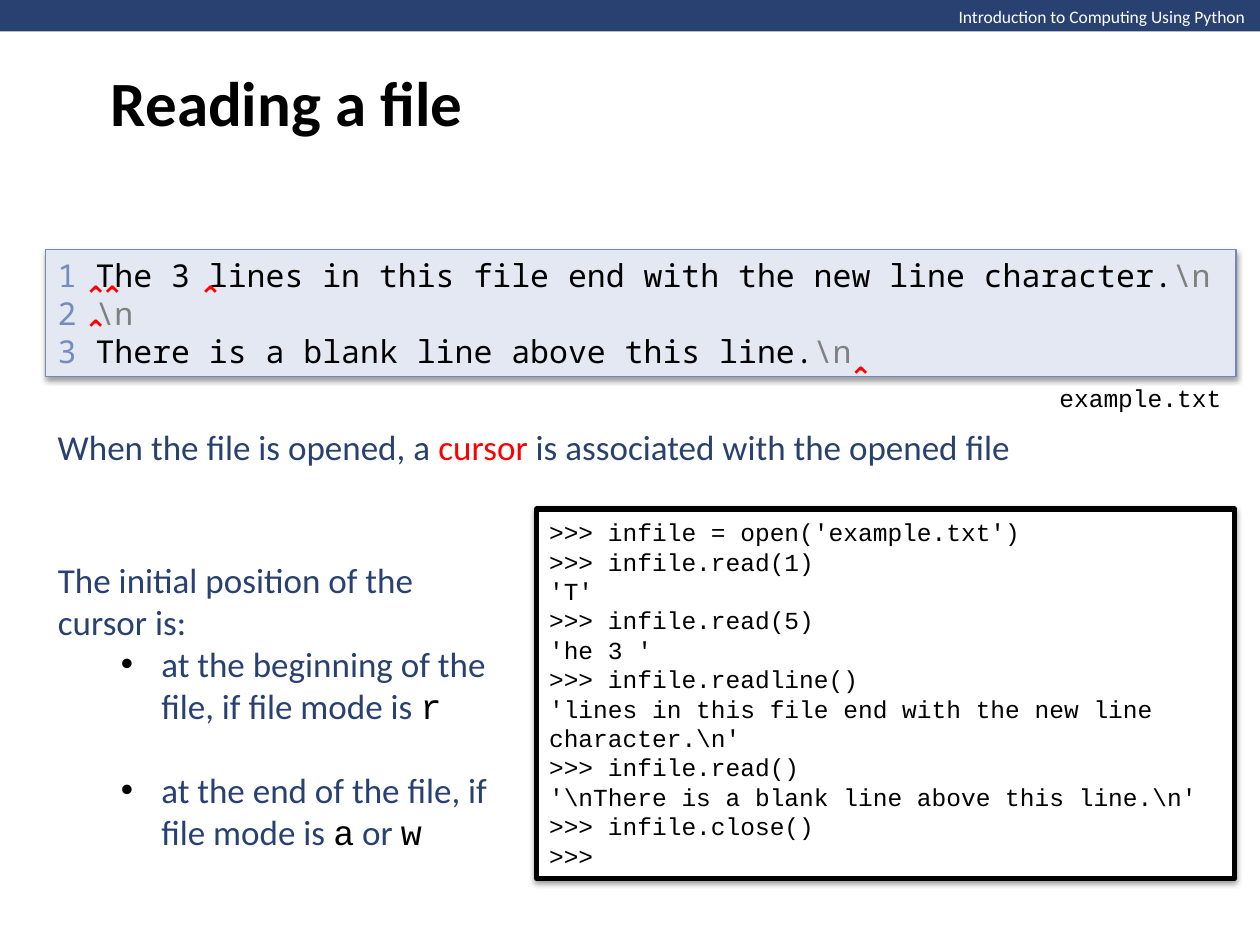
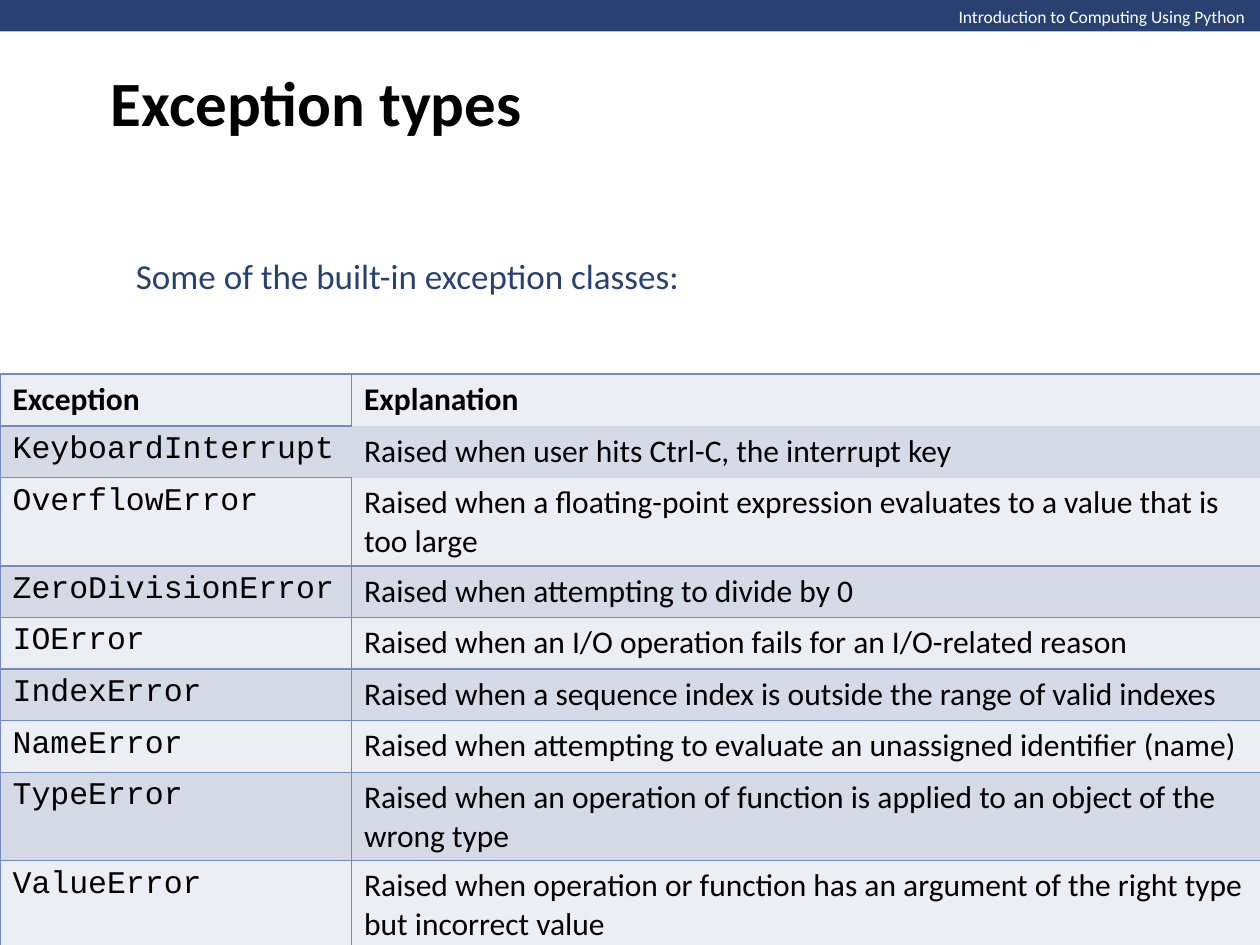
from lxml.etree import SubElement
from pptx import Presentation
from pptx.dml.color import RGBColor
from pptx.enum.shapes import MSO_SHAPE
from pptx.enum.text import MSO_ANCHOR, MSO_AUTO_SIZE, PP_ALIGN
from pptx.oxml.ns import qn
from pptx.util import Inches, Pt

NAVY, STEEL, BLACK, WHITE = "294171", "748CBC", "000000", "FFFFFF"
RED, GREY = "FF0000", "808080"
SANS, CODE, MONO = "Calibri", "Courier New", "Noto Sans Mono"

TITLE = {"name": SANS, "size": Pt(36), "bold": True, "color": BLACK}
HEADER = {"name": SANS, "size": Pt(10), "color": WHITE}
BODY = {"name": SANS, "size": Pt(20), "color": NAVY}
KEYWORD = {**BODY, "name": CODE, "color": BLACK}
SHELL = {"name": CODE, "size": Pt(14), "color": BLACK}
FILE_TEXT = {"name": MONO, "size": Pt(18), "color": BLACK}
LINE_NUMBER = {**FILE_TEXT, "color": STEEL}
NEWLINE = {**FILE_TEXT, "color": GREY}
CURSOR = {"name": "Open Sans", "size": Pt(16), "bold": True, "color": RED}
CELL = {"name": SANS, "size": Pt(18), "bold": False, "color": BLACK}
CELL_HEAD = {**CELL, "bold": True}
CELL_CODE = {**CELL, "name": CODE}

ROW_FILLS = ("EBEEF3", "D6DAE7")
# Cells that lack some of the borders: (row, column) -> sides drawn
PARTIAL_BORDERS = {(0, 1): "LTR", (1, 0): "LTB", (1, 1): "", (2, 1): "LRB"}

SESSION = r"""
>>> infile = open('example.txt')
>>> infile.read(1)
'T'
>>> infile.read(5)
'he 3 '
>>> infile.readline()
'lines in this file end with the new line character.\n'
>>> infile.read()
'\nThere is a blank line above this line.\n'
>>> infile.close()
>>>
""".strip().splitlines()

FILE_LINES = [" The 3 lines in this file end with the new line character.", " ",
              " There is a blank line above this line."]

CURSOR_PLACES = [(0.57, 2.16), (0.7, 2.16), (1.48, 2.16), (0.57, 2.43), (6.64, 2.8)]

EXCEPTIONS = [
    ("Exception", "Explanation"),
    ("KeyboardInterrupt", "Raised when user hits Ctrl-C, the interrupt key"),
    ("OverflowError", "Raised when a floating-point expression evaluates to a value that is too large"),
    ("ZeroDivisionError", "Raised when attempting to divide by 0"),
    ("IOError", "Raised when an I/O operation fails for an I/O-related reason"),
    ("IndexError", "Raised when a sequence index is outside the range of valid indexes"),
    ("NameError", "Raised when attempting to evaluate an unassigned identifier (name)"),
    ("TypeError", "Raised when an operation of function is applied to an object of the wrong type"),
    ("ValueError", "Raised when operation or function has an argument of the right type but incorrect value"),
]


def rgb(color):
    return RGBColor.from_string(color)


def solid(target, color):
    target.fill.solid()
    target.fill.fore_color.rgb = rgb(color)


def write(frame, paragraphs):
    """Fill a text frame; each paragraph is a list of (text, format) runs."""
    for index, runs in enumerate(paragraphs):
        paragraph = frame.paragraphs[0] if index == 0 else frame.add_paragraph()
        paragraph.alignment = PP_ALIGN.LEFT
        for text, values in runs:
            run = paragraph.add_run()
            run.text = text
            for name, value in values.items():
                if name == "color":
                    run.font.color.rgb = rgb(value)
                else:
                    setattr(run.font, name, value)


def add_shadow(shape):
    effects = shape._element.spPr.find(qn("a:effectLst"))
    shadow = SubElement(effects, qn("a:outerShdw"), blurRad=str(Pt(3.1)), dist=str(Pt(1.6)),
                        dir="5400000", rotWithShape="0")
    color = SubElement(shadow, qn("a:srgbClr"), val=BLACK)
    SubElement(color, qn("a:alpha"), val="38000")


def set_bullet(paragraph, left=0, hanging=0, character=None):
    properties = paragraph._p.get_or_add_pPr()
    properties.set("marL", str(Inches(left)))
    properties.set("indent", str(Inches(-hanging)))
    if character:
        color = SubElement(properties, qn("a:buClr"))
        SubElement(color, qn("a:srgbClr"), val=BLACK)
        SubElement(properties, qn("a:buFont"), typeface="Arial")
        SubElement(properties, qn("a:buChar"), char=character)
    else:
        SubElement(properties, qn("a:buNone"))


def set_borders(cell, sides):
    properties = cell._tc.get_or_add_tcPr()
    for position, side in enumerate("LRTB"):
        line = properties.makeelement(qn(f"a:ln{side}"), {"w": str(Pt(1))})
        properties.insert(position, line)
        if side in sides:
            SubElement(SubElement(line, qn("a:solidFill")), qn("a:srgbClr"), val=STEEL)
        else:
            SubElement(line, qn("a:noFill"))


class Deck:
    def __init__(self):
        self.presentation = Presentation()
        self.presentation.slide_width = Inches(10)
        self.presentation.slide_height = Inches(7.5)
        self.slide = None

    def add_slide(self, layout, title):
        layouts = self.presentation.slide_layouts
        self.slide = self.presentation.slides.add_slide(layouts.get_by_name(layout))
        self.add_box(0, 0, 10, 0.25, NAVY)
        self.add_text(7.51, 0, 2.5, 0.27, [[("Introduction to Computing Using Python", HEADER)]],
                      wrap=False, anchor=MSO_ANCHOR.TOP)
        self.fill_placeholder(self.slide.shapes.title, 0.78, 0, 8.5, 1.61, [[(title, TITLE)]])

    def fill_placeholder(self, shape, left, top, width, height, paragraphs):
        places = {"left": left, "top": top, "width": width, "height": height}
        for name, value in places.items():
            setattr(shape, name, Inches(value))
        frame = shape.text_frame
        frame.auto_size = MSO_AUTO_SIZE.NONE
        frame.vertical_anchor = MSO_ANCHOR.MIDDLE
        write(frame, paragraphs)

    def add_box(self, left, top, width, height, fill, line=None, line_width=0, paragraphs=()):
        """Add a rectangle; one with an outline also casts a shadow."""
        shape = self.slide.shapes.add_shape(
            MSO_SHAPE.RECTANGLE, Inches(left), Inches(top), Inches(width), Inches(height))
        shape.shadow.inherit = False
        solid(shape, fill)
        if line:
            shape.line.color.rgb = rgb(line)
            shape.line.width = Pt(line_width)
            add_shadow(shape)
        else:
            shape.line.fill.background()
        shape.text_frame.vertical_anchor = MSO_ANCHOR.MIDDLE
        write(shape.text_frame, paragraphs)

    def add_text(self, left, top, width, height, paragraphs, wrap=True, anchor=MSO_ANCHOR.MIDDLE):
        shape = self.slide.shapes.add_textbox(
            Inches(left), Inches(top), Inches(width), Inches(height))
        frame = shape.text_frame
        frame.word_wrap = wrap
        frame.auto_size = MSO_AUTO_SIZE.SHAPE_TO_FIT_TEXT
        frame.vertical_anchor = anchor
        write(frame, paragraphs)

    def add_list(self, left, top, width, height, intro, items):
        """Put an intro line and bulleted items into the body placeholder."""
        body = self.slide.placeholders[1]
        self.fill_placeholder(body, left, top, width, height, [intro, *items])
        for index, paragraph in enumerate(body.text_frame.paragraphs):
            paragraph.space_before = Pt(24 if index > 1 else 0)
            if index == 0:
                set_bullet(paragraph)
            else:
                paragraph.level = 1
                set_bullet(paragraph, 0.82, 0.32, "•")

    def add_table(self, left, top, column_widths, row_height, rows):
        table = self.slide.shapes.add_table(
            len(rows), len(column_widths), Inches(left), Inches(top),
            Inches(sum(column_widths)), Inches(row_height * len(rows))).table
        table.first_row = table.horz_banding = False
        for column, width in zip(table.columns, column_widths):
            column.width = Inches(width)
        for row, texts in enumerate(rows):
            table.rows[row].height = Inches(row_height)
            formats = (CELL_CODE, CELL) if row else (CELL_HEAD, CELL_HEAD)
            for column, (text, values) in enumerate(zip(texts, formats)):
                cell = table.cell(row, column)
                solid(cell, ROW_FILLS[row % 2])
                set_borders(cell, PARTIAL_BORDERS.get((row, column), "LRTB"))
                write(cell.text_frame, [[(text, values)]])


def add_reading_slide(deck):
    deck.add_slide("Title and Content", "Reading a file")
    file_paragraphs = [[(str(number), LINE_NUMBER), (text, FILE_TEXT), (r"\n", NEWLINE)]
                       for number, text in enumerate(FILE_LINES, 1)]
    deck.add_box(0.36, 1.98, 9.45, 1.01, "E3E8F2", "7088BA", 0.75, file_paragraphs)
    for left, top in CURSOR_PLACES:
        deck.add_text(left, top, 0.41, 0.37, [[("⌃", CURSOR)]], wrap=False)
    deck.add_box(4.26, 4.04, 5.54, 2.93, WHITE, BLACK, 3, [[(line, SHELL)] for line in SESSION])
    deck.add_text(8.31, 2.99, 1.5, 0.34, [[("example.txt", SHELL)]], wrap=False)
    deck.add_text(0.36, 3.32, 9.45, 0.44, [[
        ("When the file is opened, a ", BODY), ("cursor ", {**BODY, "color": RED}),
        ("is associated with the opened file", BODY)]])
    deck.add_list(0.36, 4.37, 3.63, 2.46, [("The initial position of the cursor is:", BODY)], [
        [("at the beginning of the file, if file mode is ", BODY), ("r", KEYWORD)],
        [("at the end of the file, if file mode is ", BODY), ("a", KEYWORD),
         (" or ", BODY), ("w", KEYWORD)]])


def add_exceptions_slide(deck):
    deck.add_slide("Title Only", "Exception types")
    deck.add_text(0.98, 1.97, 4.55, 0.44, [[("Some of the built-in exception classes:", BODY)]],
                  wrap=False)
    deck.add_table(0, 2.97, (2.79, 7.22), 0.41, EXCEPTIONS)


def main():
    deck = Deck()
    add_reading_slide(deck)
    add_exceptions_slide(deck)
    deck.presentation.save("out.pptx")


if __name__ == "__main__":
    main()
